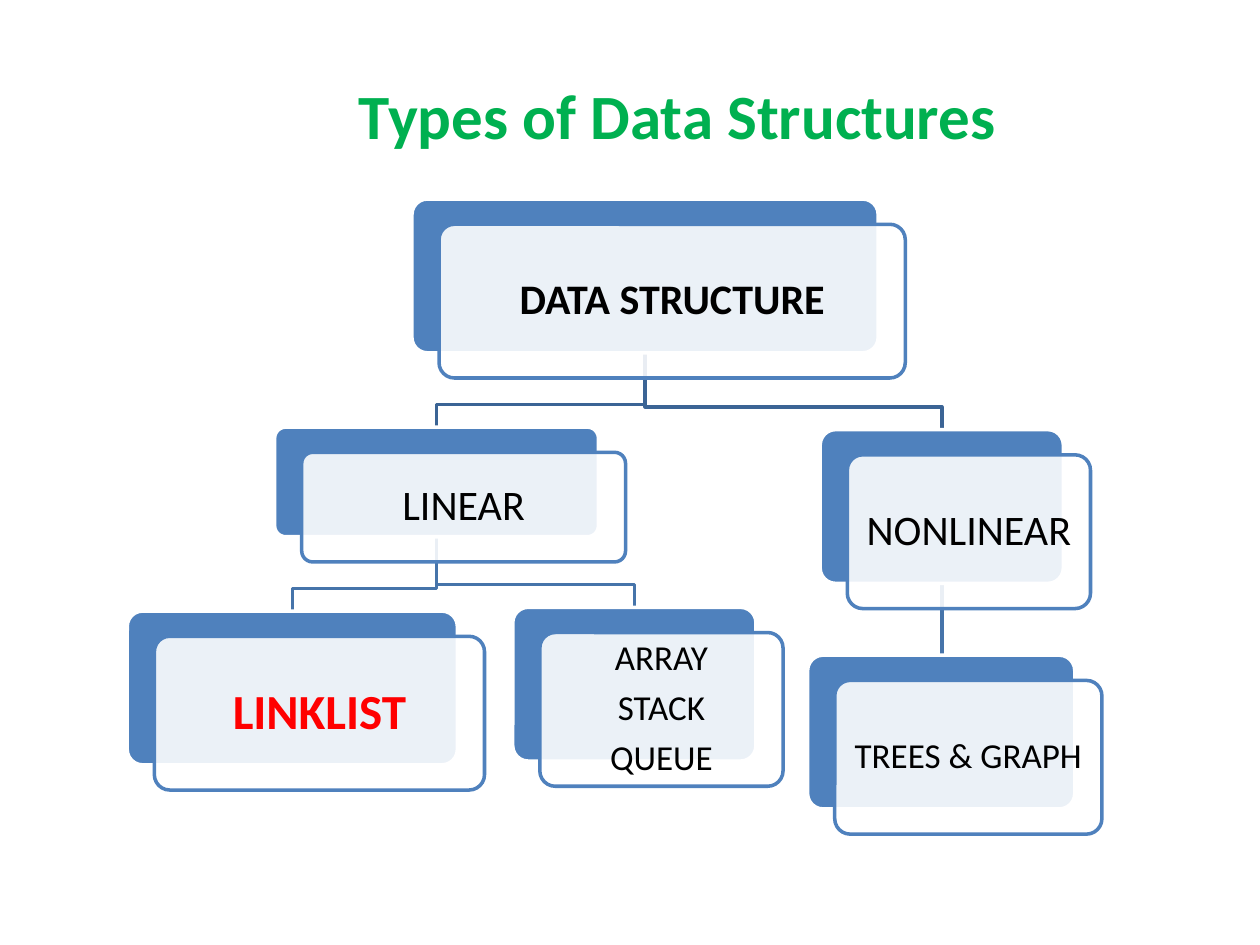
from pptx import Presentation
from pptx.dml.color import RGBColor
from pptx.enum.shapes import MSO_CONNECTOR, MSO_SHAPE
from pptx.enum.text import MSO_ANCHOR, PP_ALIGN
from pptx.oxml.ns import qn
from pptx.util import Inches, Pt
from lxml.etree import SubElement

BLUE = RGBColor(0x4F, 0x81, 0xBD)
ROOT_LINK = RGBColor(0x3B, 0x64, 0x95)
LEAF_LINK = RGBColor(0x46, 0x74, 0xAA)
WHITE = RGBColor(0xFF, 0xFF, 0xFF)
BLACK = RGBColor(0, 0, 0)
RED = RGBColor(0xFF, 0, 0)
GREEN = RGBColor(0, 0xB0, 0x50)
FONT = "Calibri"

TITLE = "Types of Data Structures"
# name: (lines, left, top, width, height, size, bold, colour)
NODES = {
    "root": (["DATA STRUCTURE"], 3.27, 1.58, 3.7, 1.22, 24, True, BLACK),
    "linear": (["LINEAR"], 2.18, 3.39, 2.57, 0.87, 24, False, BLACK),
    "linklist": (["LINKLIST"], 1.01, 4.85, 2.62, 1.22, 28, True, RED),
    "array": (["ARRAY", "STACK", "QUEUE"], 4.07, 4.82, 1.93, 1.22, 20, False, BLACK),
    "nonlinear": (["NONLINEAR"], 6.51, 3.41, 1.93, 1.22, 24, False, BLACK),
    "trees": (["TREES & GRAPH"], 6.41, 5.2, 2.12, 1.22, 20, False, BLACK),
}
LINKS = [
    ("nonlinear", "trees", LEAF_LINK),
    ("root", "nonlinear", ROOT_LINK),
    ("linear", "array", LEAF_LINK),
    ("linear", "linklist", LEAF_LINK),
    ("root", "linear", ROOT_LINK),
]
CARD_DX, CARD_DY = 0.215, 0.2  # front card offset from its back card
BEND = 0.18  # height of a link's last leg above the child

prs = Presentation()
prs.slide_width, prs.slide_height = Inches(10), Inches(7.5)
s = prs.slides.add_slide(prs.slide_layouts[6])


def add_link(parent, child, color):
    _, px, py, pw, ph, *_ = NODES[parent]
    _, cx, cy, cw, *_ = NODES[child]
    x1, y1, x2, y2 = px + pw / 2, py + ph, cx + cw / 2, cy
    if abs(x1 - x2) < 0.02:
        sp = s.shapes.add_connector(MSO_CONNECTOR.STRAIGHT, Inches(x1), Inches(y1),
                                    Inches(x1), Inches(y2))
        SubElement(sp._element.spPr, qn("a:effectLst"))
    else:
        points = [(x1, y2 - BEND), (x2, y2 - BEND), (x2, y2)]
        fb = s.shapes.build_freeform(Inches(x1), Inches(y1))
        fb.add_line_segments([(Inches(x), Inches(y)) for x, y in points], close=False)
        sp = fb.convert_to_shape()
        sp.fill.background()
        sp.shadow.inherit = False
    sp.line.color.rgb = color
    sp.line.width = Pt(2)


def add_card(left, top, width, height, fill, line):
    sp = s.shapes.add_shape(MSO_SHAPE.ROUNDED_RECTANGLE, Inches(left), Inches(top),
                            Inches(width), Inches(height))
    sp.adjustments[0] = 0.1
    sp.shadow.inherit = False
    sp.fill.solid()
    sp.fill.fore_color.rgb = fill
    sp.line.color.rgb = line
    sp.line.width = Pt(2)
    return sp


def style(p, size, bold, color):
    p.font.name, p.font.size, p.font.bold = FONT, Pt(size), bold
    p.font.color.rgb = color


def add_node(lines, left, top, width, height, size, bold, color):
    add_card(left, top, width, height, BLUE, WHITE)
    front = add_card(left + CARD_DX, top + CARD_DY, width, height, WHITE, BLUE)
    # Let the back card show faintly through the front one
    clr = front._element.spPr.find(qn("a:solidFill"))[0]
    SubElement(clr, qn("a:alpha"), val="89000")

    tf = front.text_frame
    tf.word_wrap = True
    tf.vertical_anchor = MSO_ANCHOR.MIDDLE
    tf.margin_left = tf.margin_right = tf.margin_top = tf.margin_bottom = Inches(size / 240)
    for i, line in enumerate(lines):
        p = tf.paragraphs[0] if i == 0 else tf.add_paragraph()
        p.text = line
        p.alignment = PP_ALIGN.CENTER
        p.line_spacing = 0.9
        if i:
            p.space_before = Pt(7)
        style(p, size, bold, color)


# Tree: links lie behind the cards
for link in LINKS:
    add_link(*link)
for node in NODES.values():
    add_node(*node)

# Title
tf = s.shapes.add_textbox(Inches(2.75), Inches(0.56), Inches(6), Inches(0.71)).text_frame
tf.word_wrap = True
tf.paragraphs[0].text = TITLE
style(tf.paragraphs[0], 36, True, GREEN)

prs.save("out.pptx")
